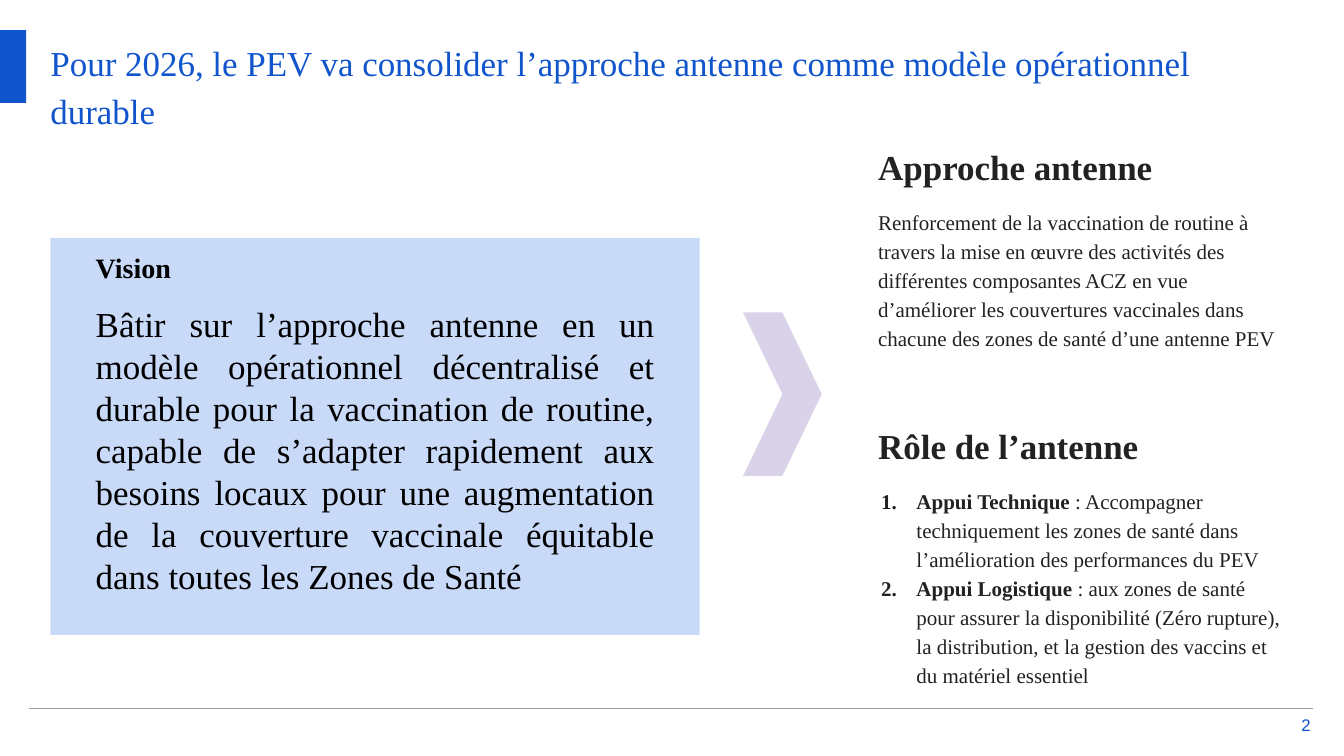
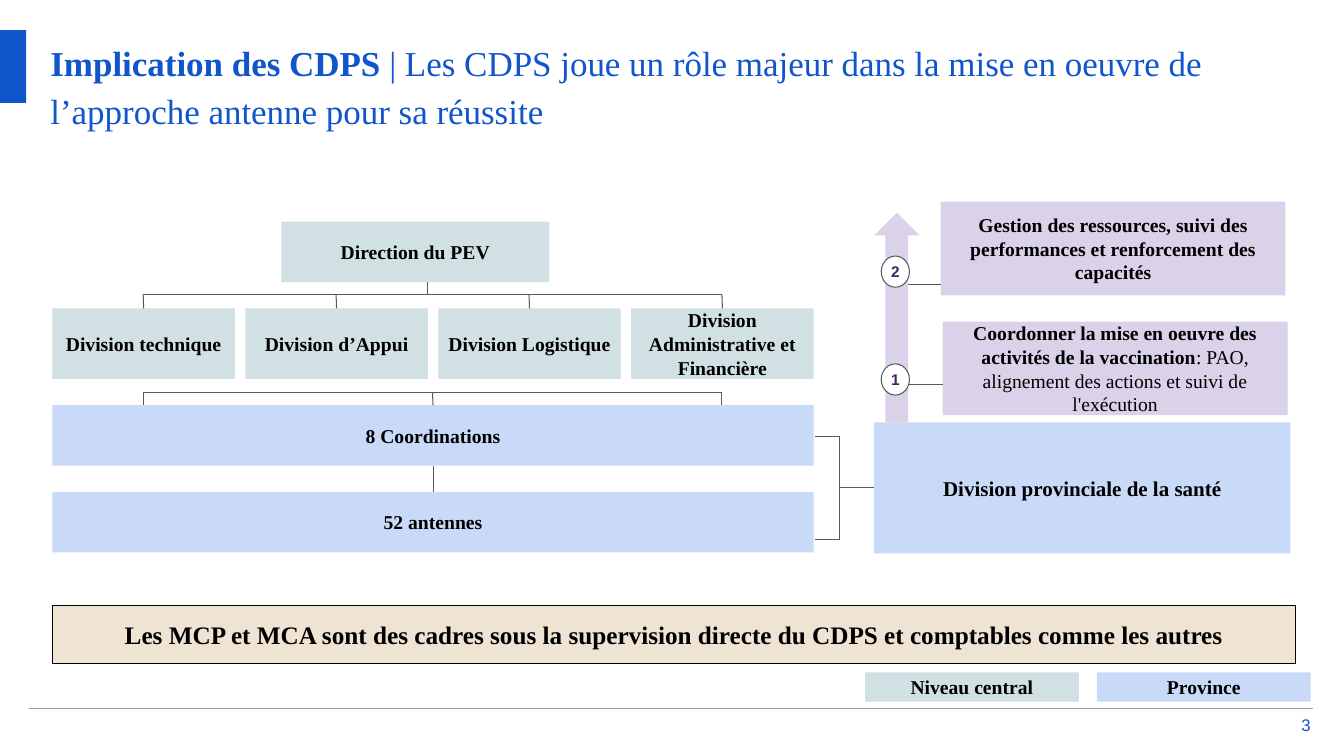
from lxml import etree
from pptx import Presentation
from pptx.dml.color import RGBColor
from pptx.enum.shapes import MSO_CONNECTOR, MSO_SHAPE
from pptx.enum.text import MSO_ANCHOR, MSO_AUTO_SIZE, PP_ALIGN
from pptx.oxml.ns import qn
from pptx.util import Inches, Pt

RECT, OVAL = MSO_SHAPE.RECTANGLE, MSO_SHAPE.OVAL
CHEVRON, ARROW = MSO_SHAPE.CHEVRON, MSO_SHAPE.UP_ARROW
STRAIGHT = MSO_CONNECTOR.STRAIGHT
TOP, MIDDLE = MSO_ANCHOR.TOP, MSO_ANCHOR.MIDDLE
LEFT, CENTER = PP_ALIGN.LEFT, PP_ALIGN.CENTER
RIGHT, JUSTIFY = PP_ALIGN.RIGHT, PP_ALIGN.JUSTIFY
NONE = MSO_AUTO_SIZE.NONE

BLUE = RGBColor(0x11, 0x55, 0xCC)
PALE = RGBColor(0xC9, 0xDA, 0xF8)
TEAL = RGBColor(0xD0, 0xE0, 0xE3)
LILAC = RGBColor(0xD9, 0xD2, 0xE9)
SAND = RGBColor(0xEF, 0xE3, 0xD3)
PLUM = RGBColor(0x45, 0x1F, 0x61)
INK = RGBColor(0x22, 0x22, 0x22)
GREY = RGBColor(0x59, 0x59, 0x59)
SILVER = RGBColor(0x9E, 0x9E, 0x9E)
BLACK = RGBColor(0, 0, 0)
WHITE = RGBColor(0xFF, 0xFF, 0xFF)
SERIF, SANS = "Times New Roman", "Arial"


def style(shape, paras=(), fill=None, edge=None, color=BLACK, font=SERIF,
          align=CENTER, anchor=MIDDLE, pad=(0.1, 0.1), pitch=1.0):
    if fill is not None:
        shape.shadow.inherit = False
        shape.fill.solid()
        shape.fill.fore_color.rgb = fill
        if edge is None:
            shape.line.fill.background()
        else:
            shape.line.color.rgb = edge
            shape.line.width = Pt(0.75)
    frame = shape.text_frame
    side, end = map(Inches, pad)
    look = {"word_wrap": True, "auto_size": NONE, "vertical_anchor": anchor,
            "margin_left": side, "margin_right": side,
            "margin_top": end, "margin_bottom": end}
    for name, value in look.items():
        setattr(frame, name, value)
    for i, (size, space, runs) in enumerate(paras):
        para = frame.add_paragraph() if i else frame.paragraphs[0]
        look = {"alignment": align, "line_spacing": pitch, "space_before": Pt(space)}
        for name, value in look.items():
            setattr(para, name, value)
        for text, bold in runs:
            run = para.add_run()
            run.text = text
            look = {"name": font, "size": Pt(size), "bold": bold}
            for name, value in look.items():
                setattr(run.font, name, value)
            run.font.color.rgb = color
    return shape


def link(slide, x1, y1, x2, y2, start=None, end=None, color=GREY):
    line = slide.shapes.add_connector(STRAIGHT, *map(Inches, (x1, y1, x2, y2)))
    line.line.color.rgb = color
    line.line.width = Pt(0.75)
    etree.SubElement(line._element.spPr, qn("a:effectLst"))
    if start:
        line.begin_connect(*start)
    if end:
        line.end_connect(*end)


prs = Presentation()
prs.slide_width, prs.slide_height = Inches(13.33), Inches(7.5)

titles = [
    [("Pour 2026, le PEV va consolider l’approche antenne comme modèle opérationnel durable", False)],
    [("Implication des CDPS", True),
     (" | Les CDPS joue un rôle majeur dans la mise en oeuvre de l’approche antenne pour sa réussite", False)],
]
for page, runs in enumerate(titles, 2):
    slide = prs.slides.add_slide(prs.slide_layouts[5])
    title = slide.shapes.title
    spot = {"left": 0.5, "top": 0.35, "width": 12.33, "height": 0.9}
    for name, value in spot.items():
        setattr(title, name, Inches(value))
    style(title, [(25, 0, runs)], color=BLUE, align=LEFT, anchor=TOP, pad=(0, 0), pitch=1.15)
    band = slide.shapes.add_shape(RECT, *map(Inches, (0, 0.3, 0.26, 0.72)))
    style(band, fill=BLUE)
    foot = slide.shapes.add_textbox(*map(Inches, (12.75, 7.1, 0.25, 0.18)))
    style(foot, [(12, 0, [(str(page), False)])], color=BLUE, font=SANS, align=RIGHT, pad=(0, 0))
    link(slide, 0.29, 7.03, 13.02, 7.03, color=SILVER)

goal, chart = prs.slides

card = goal.shapes.add_shape(RECT, *map(Inches, (0.5, 2.36, 6.44, 3.94)))
style(card, [
    (20, 0, [("Vision", True)]),
    (25, 13, [("Bâtir sur l’approche antenne en un modèle opérationnel décentralisé et durable "
               "pour la vaccination de routine, capable de s’adapter rapidement aux besoins locaux "
               "pour une augmentation de la couverture vaccinale équitable dans toutes les "
               "Zones de Santé", False)]),
], PALE, align=JUSTIFY, anchor=TOP, pad=(0.45, 0.13))
style(goal.shapes.add_shape(CHEVRON, *map(Inches, (7.37, 3.1, 0.78, 1.62))), fill=LILAC)

notes = [
    (1.25, [
        (25, 0, [("Approche antenne", True)]),
        (15, 13, [("Renforcement de la vaccination de routine à travers la mise en œuvre des "
                   "activités des différentes composantes ACZ en vue d’améliorer les couvertures "
                   "vaccinales dans chacune des zones de santé d’une antenne PEV", False)]),
    ]),
    (4.02, [
        (25, 0, [("Rôle de l’antenne", True)]),
        (15, 13, [("Appui Technique", True),
                  (" : Accompagner techniquement les zones de santé dans l’amélioration des "
                   "performances du PEV", False)]),
        (15, 0, [("Appui Logistique", True),
                 (" : aux zones de santé pour assurer la disponibilité (Zéro rupture), la "
                  "distribution, et la gestion des vaccins et du matériel essentiel", False)]),
    ]),
]
for top, paras in notes:
    note = goal.shapes.add_textbox(*map(Inches, (8.58, top, 4.26, 2.64)))
    style(note, paras, color=INK, align=LEFT, anchor=TOP, pad=(0.13, 0.13), pitch=1.15)

for para in note.text_frame.paragraphs[1:]:
    props = para._p.get_or_add_pPr()
    props.set("marL", str(Inches(0.38)))
    props.set("indent", str(Inches(-0.35)))
    etree.SubElement(props, qn("a:buAutoNum"), type="arabicPeriod")

style(chart.shapes.add_shape(ARROW, *map(Inches, (8.67, 2.11, 0.45, 2.08))), fill=LILAC)

step = (7.55 - 1.81) / 3
units = ["Division technique", "Division d’Appui", "Division Logistique",
         "Division Administrative et Financière"]
boxes = [
    ("Direction du PEV", 14, TEAL, None, (2.79, 2.2, 2.66, 0.6)),
    ("8 Coordinations", 14, PALE, None, (0.52, 4.02, 7.55, 0.6)),
    ("52 antennes", 14, PALE, None, (0.52, 4.88, 7.55, 0.6)),
    ("Division provinciale de la santé", 15, PALE, None, (8.67, 4.19, 4.13, 1.3)),
    ("Niveau central", 14, TEAL, None, (8.58, 6.67, 2.12, 0.29)),
    ("Province", 14, PALE, None, (10.88, 6.67, 2.12, 0.29)),
    ("Gestion des ressources, suivi des performances et renforcement des capacités",
     14, LILAC, None, (9.33, 2, 3.42, 0.93)),
    ("Les MCP et MCA sont des cadres sous la supervision directe du CDPS et comptables comme les autres",
     18, SAND, BLACK, (0.52, 6.01, 12.33, 0.57)),
]
boxes += [(unit, 14, TEAL, None, (0.52 + i * step, 3.06, 1.81, 0.7))
          for i, unit in enumerate(units)]
made = {}
for text, size, fill, edge, place in boxes:
    box = chart.shapes.add_shape(RECT, *map(Inches, place))
    made[text] = style(box, [(size, 0, [(text, True)])], fill, edge)

task = chart.shapes.add_shape(RECT, *map(Inches, (9.35, 3.19, 3.42, 0.93)))
style(task, [(14, 0, [
    ("Coordonner la mise en oeuvre des activités de la vaccination", True),
    (": PAO, alignement des actions et suivi de l'exécution", False),
])], LILAC)

hubs, posts = made["8 Coordinations"], made["52 antennes"]
state = made["Division provinciale de la santé"]
for i, unit in enumerate(units):
    x = 1.42 + i * step
    link(chart, x, 2.92, x, 3.06, end=(made[unit], 0))
for x, end in [(1.42, None), (4.29, (hubs, 0)), (7.16, None)]:
    link(chart, x, 3.89, x, 4.02, end=end)
for y in (2.92, 3.89):
    link(chart, 1.42, y, 7.16, y)
link(chart, 4.24, 2.8, 4.24, 2.92)
link(chart, 4.29, 4.62, 4.29, 4.88, (hubs, 2), (posts, 0))
for y in (4.33, 5.35):
    link(chart, 8.33, y, 8.08, y)
link(chart, 8.33, 4.33, 8.33, 5.35)
link(chart, 8.67, 4.84, 8.33, 4.84, (state, 1))

for mark, top, y, x in [("2", 2.54, 2.82, 9.33), ("1", 3.61, 3.81, 9.35)]:
    link(chart, 9.01, y, x, y)
    dot = chart.shapes.add_shape(OVAL, *map(Inches, (8.74, top, 0.28, 0.31)))
    style(dot, [(11, 0, [(mark, True)])], WHITE, GREY, PLUM, SANS, pad=(0, 0.1))

prs.save("out.pptx")
